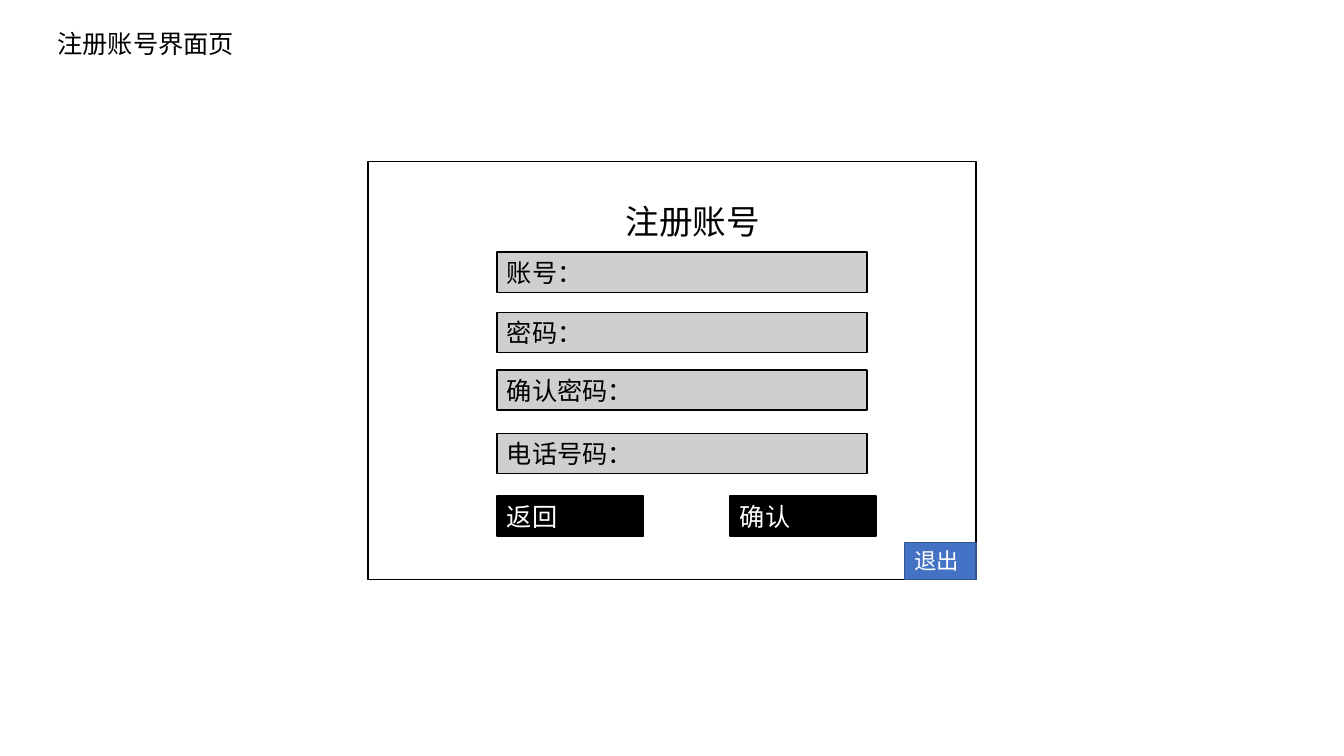
from lxml import etree
from pptx import Presentation
from pptx.dml.color import RGBColor
from pptx.enum.shapes import MSO_SHAPE
from pptx.enum.text import MSO_ANCHOR, MSO_AUTO_SIZE, PP_ALIGN
from pptx.oxml.ns import qn
from pptx.util import Inches, Pt

RECT = MSO_SHAPE.RECTANGLE
MIDDLE = MSO_ANCHOR.MIDDLE
NO_FIT = MSO_AUTO_SIZE.NONE
LEFT, CENTER = PP_ALIGN.LEFT, PP_ALIGN.CENTER

FONT = "Noto Sans CJK SC"
BLACK, WHITE, GREY = "000000", "FFFFFF", "D0CECE"
BLUE, DARK_BLUE = "4472C4", "325491"

PAGE_TITLE = "注册账号界面页"
HEADING = "注册账号"
FIELDS = [("账号：", 2.5), ("密码：", 3.1), ("确认密码：", 3.67), ("电话号码：", 4.3)]
BUTTONS = ["返回", "确认"]
EXIT = "退出"

PANEL_X, PANEL_Y, PANEL_W, PANEL_H = 3.65, 1.6, 6.03, 4.15
FORM_X, FIELD_W, ROW_H = 4.93, 3.67, 0.4
BUTTON_Y, BUTTON_W, BUTTON_STEP = 4.92, 1.45, 2.31
EXIT_W, EXIT_H = 0.71, 0.37


def rgb(value):
    return RGBColor.from_string(value)


def write(sp, text, size, color, align=LEFT):
    tf = sp.text_frame
    tf.word_wrap = True
    tf.auto_size = NO_FIT
    tf.vertical_anchor = MIDDLE
    tf.margin_left = tf.margin_right = Inches(0.1)
    tf.margin_top = tf.margin_bottom = Inches(0.05)
    p = tf.paragraphs[0]
    p.alignment = align
    r = p.add_run()
    r.text = text
    r.font.size = Pt(size)
    r.font.name = FONT
    r.font.color.rgb = rgb(color)
    etree.SubElement(r.font._element, qn("a:ea")).set("typeface", FONT)


def add_box(x, y, w, h, fill=None, line=BLACK):
    sp = s.shapes.add_shape(RECT, Inches(x), Inches(y), Inches(w), Inches(h))
    sp.shadow.inherit = False
    if fill:
        sp.fill.solid()
        sp.fill.fore_color.rgb = rgb(fill)
    else:
        sp.fill.background()
    sp.line.color.rgb = rgb(line)
    sp.line.width = Pt(1)
    return sp


prs = Presentation()
prs.slide_width, prs.slide_height = Inches(13.33), Inches(7.5)
s = prs.slides.add_slide(prs.slide_layouts[5])

title = s.shapes.title
title.left, title.top = Inches(0.47), Inches(0.25)
title.width, title.height = Inches(2.6), Inches(0.37)
write(title, PAGE_TITLE, 18, BLACK)

add_box(PANEL_X, PANEL_Y, PANEL_W, PANEL_H)
heading = s.shapes.add_textbox(Inches(5.05), Inches(1.94), Inches(3.64), Inches(0.5))
write(heading, HEADING, 24, BLACK, CENTER)

for label, y in FIELDS:
    write(add_box(FORM_X, y, FIELD_W, ROW_H, GREY), label, 18, BLACK)

for i, label in enumerate(BUTTONS):
    button = add_box(FORM_X + i * BUTTON_STEP, BUTTON_Y, BUTTON_W, ROW_H, BLACK)
    write(button, label, 18, WHITE)

exit_button = add_box(PANEL_X + PANEL_W - EXIT_W, PANEL_Y + PANEL_H - EXIT_H,
                      EXIT_W, EXIT_H, BLUE, DARK_BLUE)
write(exit_button, EXIT, 16, WHITE)

prs.save("out.pptx")
